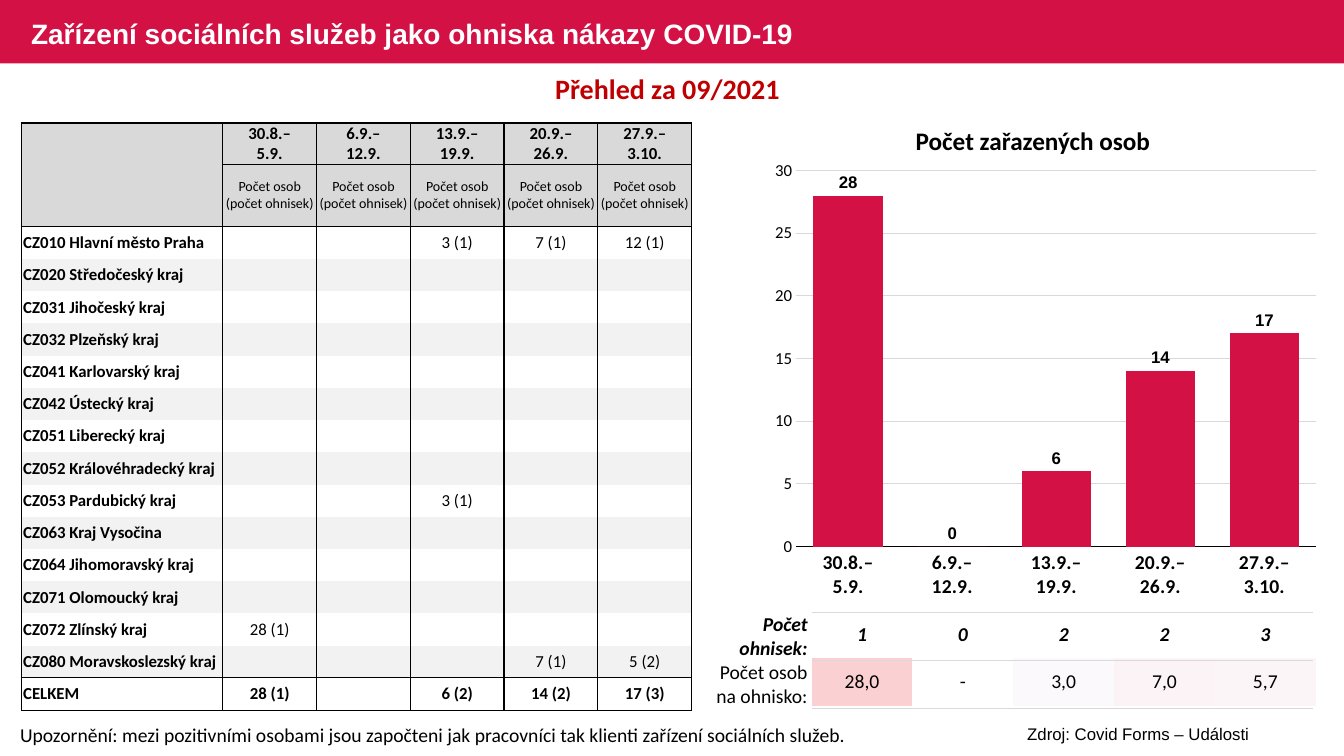
"""Build a slide on COVID-19 outbreaks in social service facilities."""
from lxml.etree import SubElement, fromstring
from pptx import Presentation
from pptx.chart.data import CategoryChartData
from pptx.dml.color import RGBColor
from pptx.enum.chart import XL_CHART_TYPE, XL_LABEL_POSITION, XL_TICK_MARK
from pptx.enum.shapes import MSO_SHAPE
from pptx.enum.text import MSO_ANCHOR, PP_ALIGN
from pptx.oxml.ns import nsdecls, qn
from pptx.util import Inches, Pt

COLORS = {"red": "D31145", "heading": "C00000", "black": "000000", "white": "FFFFFF",
          "header": "D9D9D9", "band": "F2F2F2", "grid": "D9D9D9"}
WEEKS = ["30.8.–\n5.9.", "6.9.–\n12.9.", "13.9.–\n19.9.", "20.9.–\n26.9.", "27.9.–\n3.10."]
PERSONS = [28, 0, 6, 14, 17]
REGIONS = [
    ("CZ010 Hlavní město Praha", "", "", "3 (1)", "7 (1)", "12 (1)"),
    ("CZ020 Středočeský kraj", "", "", "", "", ""),
    ("CZ031 Jihočeský kraj", "", "", "", "", ""),
    ("CZ032 Plzeňský kraj", "", "", "", "", ""),
    ("CZ041 Karlovarský kraj", "", "", "", "", ""),
    ("CZ042 Ústecký kraj", "", "", "", "", ""),
    ("CZ051 Liberecký kraj", "", "", "", "", ""),
    ("CZ052 Královéhradecký kraj", "", "", "", "", ""),
    ("CZ053 Pardubický kraj", "", "", "3 (1)", "", ""),
    ("CZ063 Kraj Vysočina", "", "", "", "", ""),
    ("CZ064 Jihomoravský kraj", "", "", "", "", ""),
    ("CZ071 Olomoucký kraj", "", "", "", "", ""),
    ("CZ072 Zlínský kraj", "28 (1)", "", "", "", ""),
    ("CZ080 Moravskoslezský kraj", "", "", "", "7 (1)", "5 (2)"),
]
TOTAL = ("CELKEM", "28 (1)", "", "6 (2)", "14 (2)", "17 (3)")
OUTBREAKS = ["1", "0", "2", "2", "3"]
PER_OUTBREAK = ["28,0", "-", "3,0", "7,0", "5,7"]
HEAT = ["FBD0D3", None, "FCF9FC", "FCF3F6", "FCF5F8"]
ROW_LABELS = ["Počet ohnisek:", "Počet osob na ohnisko:"]
CAPTIONS = [
    ("Upozornění: mezi pozitivními osobami jsou započteni jak pracovníci tak klienti "
     "zařízení sociálních služeb.", (0.1, 7.12, 8.52, 0.34), 14, "Calibri", "black", False, PP_ALIGN.LEFT),
    ("Zařízení sociálních služeb jako ohniska nákazy COVID-19",
     (0.21, 0.02, 8.13, 0.63), 20, "Arial", "white", True, PP_ALIGN.LEFT),
    ("Zdroj: Covid Forms – Události", (9.35, 7.13, 3.88, 0.3), 12, "Arial", "black", False, PP_ALIGN.CENTER),
    ("Přehled za 09/2021", (0.21, 0.66, 12.82, 0.44), 20, "Calibri", "heading", True, PP_ALIGN.CENTER),
    ("Počet zařazených osob", (7.56, 1.19, 5.37, 0.4), 18, "Calibri", "black", True, PP_ALIGN.CENTER),
]
PLOT_LAYOUT = {"x": 0.06, "y": 0.04, "w": 0.92, "h": 0.82}


def rgb(name):
    return RGBColor.from_string(COLORS.get(name, name))


def style_font(font, size, face, color="black", bold=False, italic=False):
    font.size, font.name, font.bold, font.italic = Pt(size), face, bold, italic
    font.color.rgb = rgb(color)


def write(para, text, align, **style):
    para.alignment = align
    for index, line in enumerate(text.split("\n")):
        if index:
            para.add_line_break()
        span = para.add_run()
        span.text = line
        style_font(span.font, **style)


def add_caption(page, text, place, size, face, color, bold, align):
    box = page.shapes.add_textbox(*map(Inches, place))
    box.text_frame.word_wrap = True
    box.text_frame.vertical_anchor = MSO_ANCHOR.MIDDLE
    write(box.text_frame.paragraphs[0], text, align, size=size, face=face, color=color, bold=bold)


def add_grid(page, left, top, widths, heights):
    place = map(Inches, (left, top, sum(widths), sum(heights)))
    table = page.shapes.add_table(len(heights), len(widths), *place).table
    table.first_row = table.horz_banding = False
    table._tbl.tblPr.find(qn("a:tableStyleId")).text = "{2D5ABB26-0587-4C30-8999-92F81FD0307C}"
    for column, width in zip(table.columns, widths):
        column.width = Inches(width)
    for row, height in zip(table.rows, heights):
        row.height = Inches(height)
    return table


def set_cell(cell, text="", size=12, bold=False, italic=False, align=PP_ALIGN.CENTER,
             fill=None, sides="", line="black", margins=(0.01, 0.01)):
    cell.vertical_anchor = MSO_ANCHOR.MIDDLE
    cell.margin_left, cell.margin_right = map(Inches, margins)
    cell.margin_top = cell.margin_bottom = 0
    for side in sides:
        border = SubElement(cell._tc.get_or_add_tcPr(), qn(f"a:ln{side}"), w=str(Pt(1)))
        paint = SubElement(border, qn("a:solidFill"))
        SubElement(paint, qn("a:srgbClr"), val=COLORS[line])
    if fill:
        cell.fill.solid()
        cell.fill.fore_color.rgb = rgb(fill)
    else:
        cell.fill.background()
    para = cell.text_frame.paragraphs[0]
    if text:
        write(para, text, align, size=size, face="Calibri", bold=bold, italic=italic)
    else:
        SubElement(para._p, qn("a:endParaRPr"), sz=str(size * 100))


def add_region_table(page):
    rows = [["", *WEEKS], [""] + ["Počet osob\u0020(počet ohnisek)"] * len(WEEKS), *REGIONS, TOTAL]
    table = add_grid(page, 0.21, 1.22, [2] + [0.93] * 5, [0.41, 0.62] + [0.32] * 15)
    last = len(rows) - 1
    for r, values in enumerate(rows):
        fill = "header" if r < 2 else "band" if r % 2 and r < last else None
        for c, text in enumerate(values):
            name = c == 0
            set_cell(table.cell(r, c), text, size=10 if r == 1 else 12,
                     bold=name or r in (0, last), align=PP_ALIGN.LEFT if name else PP_ALIGN.CENTER,
                     fill=fill, sides="LRTB" if r in (0, 1, last) else "LR",
                     margins=(0.02, 0.02) if name else (0.01, 0.01))
    table.cell(0, 0).merge(table.cell(1, 0))


def add_outbreak_values(page):
    table = add_grid(page, 8.05, 6.06, [1] * 5, [0.47] * 2)
    for c, (count, ratio, heat) in enumerate(zip(OUTBREAKS, PER_OUTBREAK, HEAT)):
        set_cell(table.cell(0, c), count, 14, bold=True, italic=True)
        set_cell(table.cell(1, c), ratio, 14, fill=heat)


def add_outbreak_labels(page):
    table = add_grid(page, 7.04, 6.08, [1.01] + [0.71] * 7, [0.47] * 2)
    for r, label in enumerate(ROW_LABELS):
        set_cell(table.cell(r, 0), label, 14, bold=r == 0, italic=r == 0,
                 align=PP_ALIGN.RIGHT, margins=(0.01, 0.04))
        for c in range(1, 8):
            set_cell(table.cell(r, c), sides="TB", line="grid")


def add_person_chart(page):
    data = CategoryChartData()
    data.categories = WEEKS
    data.add_series("Počet osob", PERSONS)
    place = map(Inches, (7.56, 1.51, 5.61, 4.55))
    chart = page.shapes.add_chart(XL_CHART_TYPE.COLUMN_CLUSTERED, *place, data).chart
    chart.has_legend = chart.has_title = False
    style_font(chart.font, 14, "Arial", bold=True)
    plot = chart.plots[0]
    plot.gap_width, plot.vary_by_categories = 50, False
    bars = plot.series[0]
    bars.format.fill.solid()
    bars.format.fill.fore_color.rgb = rgb("red")
    labels = bars.data_labels
    labels.show_value, labels.position = True, XL_LABEL_POSITION.OUTSIDE_END
    style_font(labels.font, 12, "Arial", bold=True)
    weeks, scale = chart.category_axis, chart.value_axis
    for axis, size, bold in ((weeks, 14, True), (scale, 12, False)):
        axis.major_tick_mark = axis.minor_tick_mark = XL_TICK_MARK.NONE
        style_font(axis.tick_labels.font, size, "Calibri", bold=bold)
    scale.minimum_scale, scale.maximum_scale, scale.major_unit = 0, 30, 5
    scale.format.line.fill.background()
    for line, color in ((weeks.format.line, "black"), (scale.major_gridlines.format.line, "grid")):
        line.color.rgb, line.width = rgb(color), Pt(0.75)
    area = chart._chartSpace.chart.plotArea
    for former in area.findall(qn("c:layout")):
        area.remove(former)
    modes = '<c:layoutTarget val="inner"/><c:xMode val="edge"/><c:yMode val="edge"/>'
    sizes = "".join(f'<c:{key} val="{value}"/>' for key, value in PLOT_LAYOUT.items())
    area.insert(0, fromstring(
        f'<c:layout {nsdecls("c")}><c:manualLayout>{modes}{sizes}</c:manualLayout></c:layout>'))


def main():
    deck = Presentation()
    deck.slide_width, deck.slide_height = Inches(13.33), Inches(7.5)
    page = deck.slides.add_slide(deck.slide_layouts[6])
    banner = page.shapes.add_shape(MSO_SHAPE.RECTANGLE, 0, 0, deck.slide_width, Inches(0.63))
    banner.shadow.inherit = False
    banner.fill.solid()
    banner.fill.fore_color.rgb = rgb("red")
    banner.line.fill.background()
    add_outbreak_values(page)
    add_region_table(page)
    add_person_chart(page)
    add_outbreak_labels(page)
    for caption in CAPTIONS:
        add_caption(page, *caption)
    deck.save("out.pptx")


if __name__ == "__main__":
    main()
